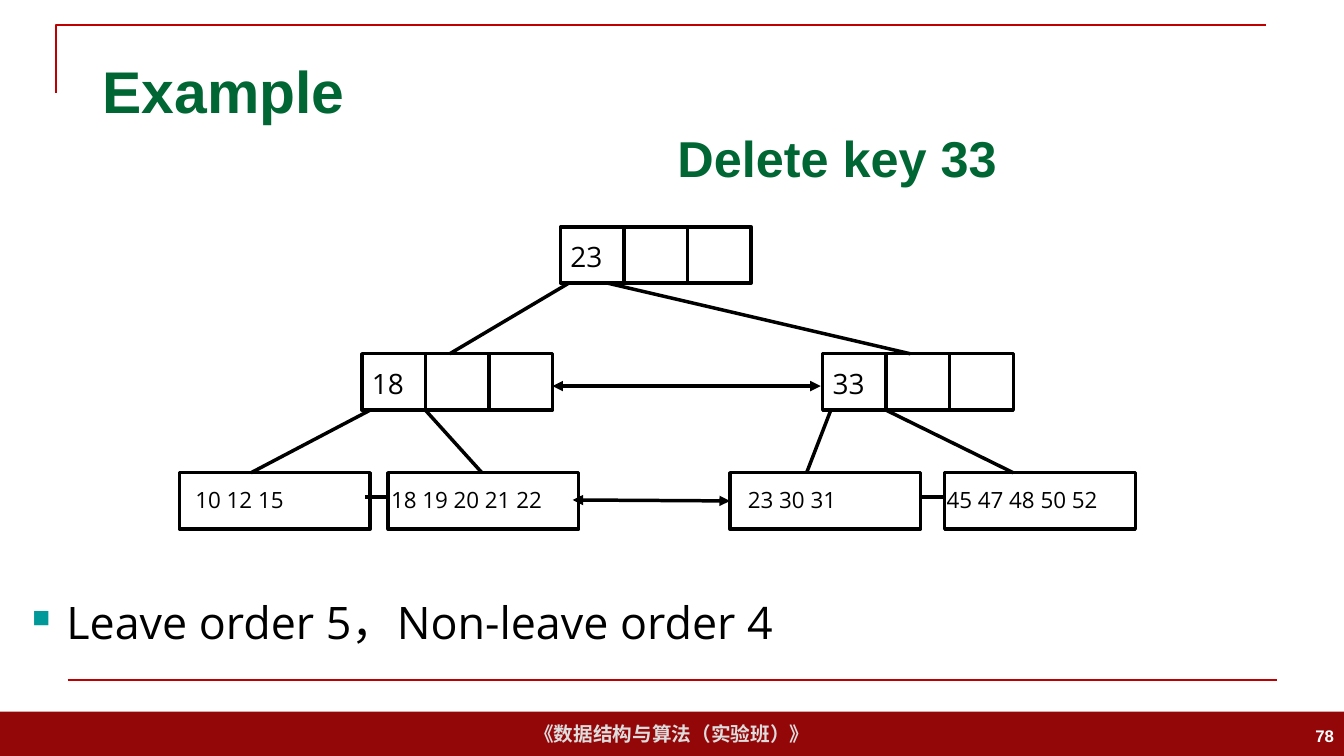
from dataclasses import dataclass

from lxml import etree
from pptx import Presentation
from pptx.dml.color import RGBColor
from pptx.enum.shapes import MSO_CONNECTOR, MSO_SHAPE
from pptx.enum.text import MSO_ANCHOR, PP_ALIGN
from pptx.oxml.ns import qn
from pptx.util import Inches, Pt

RECTANGLE = MSO_SHAPE.RECTANGLE
STRAIGHT = MSO_CONNECTOR.STRAIGHT
TOP, MIDDLE, BOTTOM = MSO_ANCHOR.TOP, MSO_ANCHOR.MIDDLE, MSO_ANCHOR.BOTTOM
LEFT, CENTER, RIGHT = PP_ALIGN.LEFT, PP_ALIGN.CENTER, PP_ALIGN.RIGHT


@dataclass(frozen=True)
class Theme:
    heading_font: str = "Arial"
    body_font: str = "Open Sans"
    ink: str = "000000"
    heading: str = "006633"
    rule: str = "C00000"
    band: str = "940709"
    band_text: str = "DDDDDD"
    page_number: str = "FFFFFF"
    bullet: str = "009999"
    title_size: float = 42
    subtitle_size: float = 36
    body_size: float = 32
    key_size: float = 20
    leaf_size: float = 16
    footer_size: float = 14
    page_size: float = 12
    tree_line: float = 2.5
    rule_line: float = 1.5


class SlideBuilder:
    def __init__(self, slide, theme):
        self.slide = slide
        self.theme = theme

    def style_line(self, shape, color, width):
        shape.line.color.rgb = RGBColor.from_string(color)
        shape.line.width = Pt(width)

    def style_text(self, shape, text, size, color, heading, align, anchor, wrap=True):
        frame = shape.text_frame
        frame.text = text
        frame.word_wrap = wrap
        frame.vertical_anchor = anchor
        paragraph = frame.paragraphs[0]
        paragraph.alignment = align
        font = paragraph.runs[0].font
        font.name = self.theme.heading_font if heading else self.theme.body_font
        font.size = Pt(size)
        font.bold = heading
        font.color.rgb = RGBColor.from_string(color)
        return paragraph

    def text(self, box, text, size, color, heading=False, align=LEFT, anchor=TOP):
        shape = self.slide.shapes.add_textbox(*map(Inches, box))
        return self.style_text(shape, text, size, color, heading, align, anchor)

    def bullet(self, box, text):
        paragraph = self.text(box, text, self.theme.body_size, self.theme.ink)
        properties = paragraph._p.get_or_add_pPr()
        properties.set("marL", str(Inches(0.56)))
        properties.set("indent", str(-Inches(0.34)))
        color = etree.SubElement(properties, qn("a:buClr"))
        etree.SubElement(color, qn("a:srgbClr"), val=self.theme.bullet)
        etree.SubElement(properties, qn("a:buSzPct"), val="55000")
        etree.SubElement(properties, qn("a:buFont"), typeface="Wingdings")
        etree.SubElement(properties, qn("a:buChar"), char="n")

    def rectangle(self, box):
        shape = self.slide.shapes.add_shape(RECTANGLE, *map(Inches, box))
        shape.shadow.inherit = False
        return shape

    def band(self, box, text):
        shape = self.rectangle(box)
        shape.fill.solid()
        shape.fill.fore_color.rgb = RGBColor.from_string(self.theme.band)
        shape.line.fill.background()
        self.style_text(shape, text, self.theme.footer_size, self.theme.band_text,
                        True, CENTER, MIDDLE, wrap=False)

    def corner(self, points):
        """Draw an open, unfilled outline through the points."""
        start, *rest = [(Inches(x), Inches(y)) for x, y in points]
        builder = self.slide.shapes.build_freeform(*start)
        builder.add_line_segments(rest, close=False)
        shape = builder.convert_to_shape()
        shape.shadow.inherit = False
        shape.fill.background()
        self.style_line(shape, self.theme.rule, self.theme.rule_line)

    def line(self, start, end, color, width, arrows=False):
        connector = self.slide.shapes.add_connector(STRAIGHT, *map(Inches, (*start, *end)))
        self.style_line(connector, color, width)
        if arrows:
            outline = connector.line._get_or_add_ln()
            for name in ("a:headEnd", "a:tailEnd"):
                etree.SubElement(outline, qn(name), type="triangle")
        etree.SubElement(connector._element.spPr, qn("a:effectLst"))

    def edge(self, start, end, arrows=False):
        self.line(start, end, self.theme.ink, self.theme.tree_line, arrows)

    def node(self, left, top):
        shape = self.rectangle((left, top, NODE_WIDTH, NODE_HEIGHT))
        shape.fill.background()
        self.style_line(shape, self.theme.ink, self.theme.tree_line)

    def inner_node(self, left, top, key):
        """Draw a node of three cells with its key in the first."""
        self.node(left, top)
        for cell in (1, 2):
            x = left + cell * CELL_WIDTH
            self.edge((x, top), (x, top + NODE_HEIGHT))
        self.text((left, top + 0.08, 0.56, 0.44), key, self.theme.key_size, self.theme.ink)

    def leaf(self, left, text_left, text_width, keys):
        self.node(left, LEAF_TOP)
        self.text((text_left, LEAF_TOP + 0.08, text_width, 0.37), keys,
                  self.theme.leaf_size, self.theme.ink)


NODE_WIDTH, NODE_HEIGHT = 1.89, 0.56
CELL_WIDTH = NODE_WIDTH / 3
ROOT_TOP, INNER_TOP, LEAF_TOP = 2.25, 3.51, 4.69
ROOT_BOTTOM, INNER_BOTTOM = ROOT_TOP + NODE_HEIGHT, INNER_TOP + NODE_HEIGHT
LINK_Y = 4.93

INNER_NODES = [(5.56, ROOT_TOP, "23"), (3.59, INNER_TOP, "18"), (8.16, INNER_TOP, "33")]
LEAVES = [
    (1.78, 1.84, 1.2, "10 12 15"),
    (3.85, 3.78, 1.91, "18 19 20 21 22"),
    (7.24, 7.32, 1.2, "23 30 31"),
    (9.37, 9.29, 1.91, "45 47 48 50 52"),
]
ROOT_EDGES = [(5.64, 4.46), (6.03, 9.03)]
LEAF_EDGES = [(3.67, 2.49), (4.22, 4.78), (8.24, 8), (8.79, 10.05)]
LEAF_LINKS = [(3.62, 3.85), (9.13, 9.37)]
SIBLING_ARROWS = [((5.48, 3.83), (8.14, 3.83)), ((5.68, 4.96), (7.24, 4.97))]


def main():
    presentation = Presentation()
    presentation.slide_width = Inches(13.33)
    presentation.slide_height = Inches(7.5)
    slide = presentation.slides.add_slide(presentation.slide_layouts[6])
    theme = Theme()
    builder = SlideBuilder(slide, theme)

    builder.band((0, 7.06, 13.33, 0.44), "《数据结构与算法（实验班）》")
    builder.corner([(0.56, 0.92), (0.56, 0.25), (12.56, 0.25)])
    builder.line((0.67, 6.75), (12.67, 6.75), theme.rule, theme.rule_line)
    builder.text((0.92, 0.4, 11.5, 0.99), "Example", theme.title_size, theme.heading,
                 heading=True, anchor=MIDDLE)
    builder.text((10.33, 7.1, 3, 0.4), "78", theme.page_size, theme.page_number,
                 heading=True, align=RIGHT, anchor=MIDDLE)

    for left, top, key in INNER_NODES:
        builder.inner_node(left, top, key)
    for leaf in LEAVES:
        builder.leaf(*leaf)
    for start, end in ROOT_EDGES:
        builder.edge((start, ROOT_BOTTOM), (end, INNER_TOP))
    for start, end in LEAF_EDGES:
        builder.edge((start, INNER_BOTTOM), (end, LEAF_TOP))
    for start, end in LEAF_LINKS:
        builder.edge((start, LINK_Y), (end, LINK_Y))
    for start, end in SIBLING_ARROWS:
        builder.edge(start, end, arrows=True)

    builder.text((6.62, 1.2, 4.01, 0.71), "Delete key 33", theme.subtitle_size,
                 theme.heading, heading=True, anchor=BOTTOM)
    builder.bullet((0, 5.85, 9.18, 0.64), "Leave order 5，Non-leave order 4")
    presentation.save("out.pptx")


if __name__ == "__main__":
    main()
